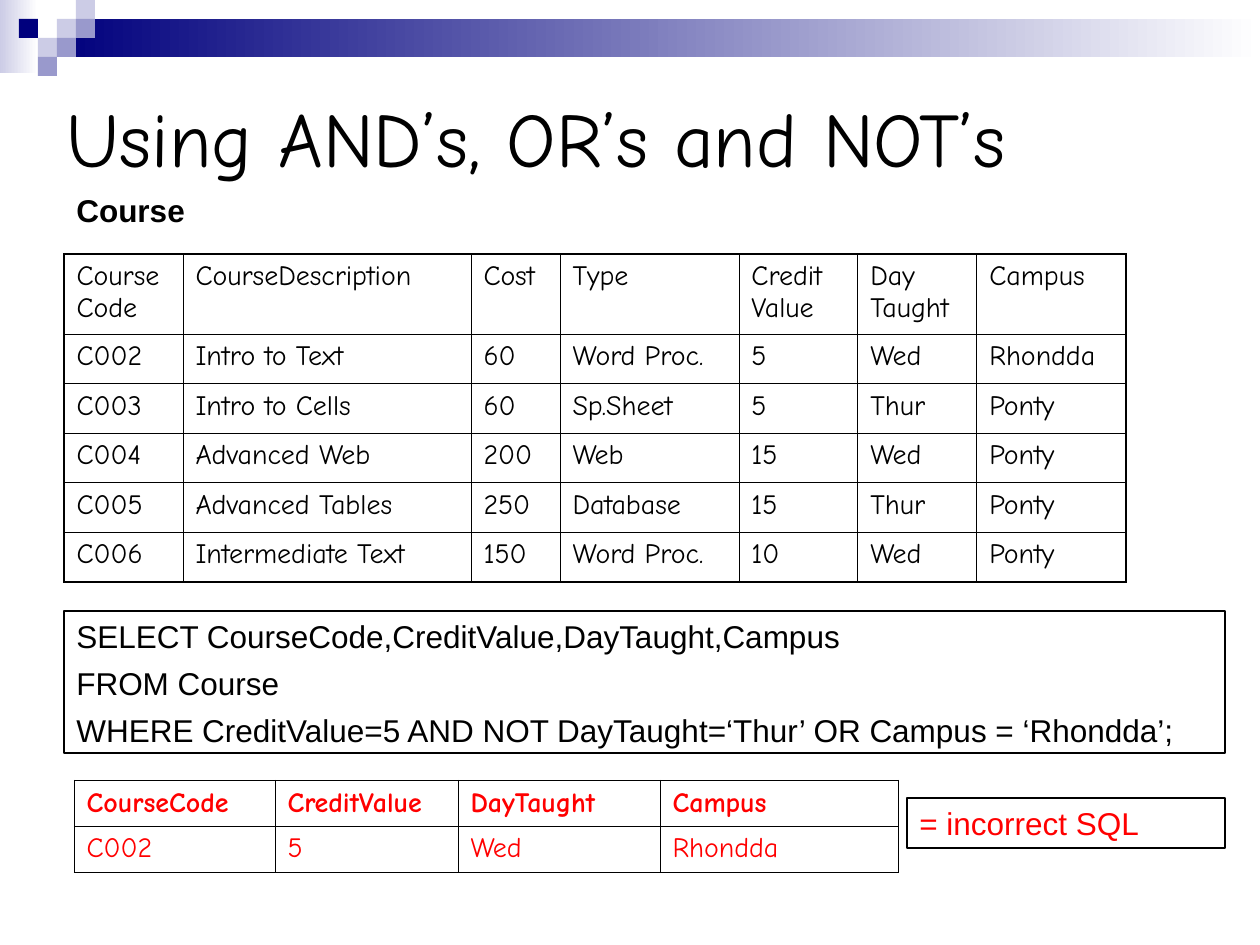
from pptx import Presentation
from pptx.dml.color import RGBColor
from pptx.enum.shapes import MSO_SHAPE
from pptx.enum.text import MSO_ANCHOR, MSO_AUTO_SIZE, PP_ALIGN
from pptx.oxml.ns import qn
from pptx.util import Emu, Pt
from lxml.etree import SubElement

PX = 914400 / 126
COLORS = {
    "navy": "00007D", "violet": "9999CC", "lavender": "CCCCE6",
    "white": "FFFFFF", "black": "000000", "red": "FF0000",
}
HAND, SANS = "Comic Neue", "Arial"
TILE = 19

COURSES = [
    ["Course Code", "CourseDescription", "Cost", "Type", "Credit Value", "Day Taught", "Campus"],
    ["C002", "Intro to Text", "60", "Word Proc.", "5", "Wed", "Rhondda"],
    ["C003", "Intro to Cells", "60", "Sp.Sheet", "5", "Thur", "Ponty"],
    ["C004", "Advanced Web", "200", "Web", "15", "Wed", "Ponty"],
    ["C005", "Advanced Tables", "250", "Database", "15", "Thur", "Ponty"],
    ["C006", "Intermediate Text", "150", "Word Proc.", "10", "Wed", "Ponty"],
]
RESULT = [
    ["CourseCode", "CreditValue", "DayTaught", "Campus"],
    ["C002", "5", "Wed", "Rhondda"],
]
QUERY = [
    "SELECT CourseCode,CreditValue,DayTaught,Campus",
    "FROM Course",
    "WHERE CreditValue=5 AND NOT DayTaught=‘Thur’ OR Campus = ‘Rhondda’;",
]


def px(length):
    return Emu(round(length * PX))


def rgb(name):
    return RGBColor.from_string(COLORS[name])


def style(para, font_name, size, color="black", bold=False):
    para.alignment = PP_ALIGN.LEFT
    font = para.font
    font.name, font.size, font.bold = font_name, Pt(size), bold
    font.color.rgb = rgb(color)


def add_rect(page, box, *colors):
    """Borderless rectangle: one colour is solid, two run left to right."""
    rect = page.shapes.add_shape(MSO_SHAPE.RECTANGLE, *map(px, box))
    rect.shadow.inherit = False
    rect.line.fill.background()
    if len(colors) == 1:
        rect.fill.solid()
        rect.fill.fore_color.rgb = rgb(colors[0])
    else:
        rect.fill.gradient()
        rect.fill.gradient_angle = 0
        for stop, color in zip(rect.fill.gradient_stops, colors):
            stop.color.rgb = rgb(color)


def add_banner(page, left, top, width):
    add_rect(page, (left, top, 2 * TILE, 73), "lavender", "white")
    bar_left = left + 3 * TILE
    add_rect(page, (bar_left, top + TILE, width - 3 * TILE, 2 * TILE), "navy", "white")
    tiles = [
        (3, 1, "lavender"), (4, 0, "lavender"), (4, 1, "violet"), (2, 2, "lavender"),
        (1, 1, "navy"), (3, 2, "violet"), (2, 3, "violet"),
    ]
    for column, row, color in tiles:
        add_rect(page, (left + column * TILE, top + row * TILE, TILE, TILE), color)


def add_title(page, box, text):
    title = page.shapes.title
    title.left, title.top, title.width, title.height = map(px, box)
    frame = title.text_frame
    frame.text = text
    frame.auto_size = MSO_AUTO_SIZE.NONE
    frame.vertical_anchor = MSO_ANCHOR.MIDDLE
    style(frame.paragraphs[0], HAND, 44)


def add_text(page, box, lines, color="black", bold=False, framed=True):
    text_box = page.shapes.add_textbox(*map(px, box))
    if framed:
        text_box.line.color.rgb = rgb("black")
        text_box.line.width = Pt(0.75)
    frame = text_box.text_frame
    frame.word_wrap = True
    frame.text = "\n".join(lines)
    for index, para in enumerate(frame.paragraphs):
        style(para, SANS, 18, color, bold)
        if index:
            para.space_before = Pt(5.2)


def set_borders(cell, widths):
    """Draw the cell's sides; widths maps L, R, T and B to points."""
    properties = cell._tc.get_or_add_tcPr()
    for side in "LRTB":
        line = SubElement(properties, qn(f"a:ln{side}"), w=str(Pt(widths[side])))
        fill = SubElement(line, qn("a:solidFill"))
        SubElement(fill, qn("a:srgbClr"), val=COLORS["black"])


def add_grid(page, left, top, columns, heights, rows, inner, outer,
             color="black", bold_header=False, header_anchor=MSO_ANCHOR.TOP):
    """Ruled table with inner and outer border widths in points."""
    box = (left, top, sum(columns), sum(heights))
    table = page.shapes.add_table(len(rows), len(columns), *map(px, box)).table
    table.first_row = table.horz_banding = False
    for column, width in zip(table.columns, columns):
        column.width = px(width)
    for row, height in zip(table.rows, heights):
        row.height = px(height)
    last_row, last_column = len(rows) - 1, len(columns) - 1
    for r, texts in enumerate(rows):
        for c, text in enumerate(texts):
            cell = table.cell(r, c)
            cell.text = text
            cell.vertical_anchor = MSO_ANCHOR.TOP if r else header_anchor
            style(cell.text_frame.paragraphs[0], HAND, 16, color, bold_header and r == 0)
            edges = {"L": c == 0, "R": c == last_column, "T": r == 0, "B": r == last_row}
            set_borders(cell, {side: outer if edge else inner for side, edge in edges.items()})
            cell.fill.solid()
            cell.fill.fore_color.rgb = rgb("white")


def main():
    deck = Presentation()
    deck.slide_width, deck.slide_height = px(1260), px(945)
    page = deck.slides.add_slide(deck.slide_layouts[5])

    add_banner(page, 0, 0, 1260)
    add_title(page, (54, 66, 1134, 141), "Using AND’s, OR’s and NOT’s")
    add_grid(page, 64, 254, [119, 288, 89, 179, 119, 119, 149], [80] + [248 / 5] * 5,
             COURSES, inner=0.45, outer=1.08)
    add_text(page, (64, 611, 1161, 142), QUERY)
    add_text(page, (64, 185, 367, 50), ["Course"], bold=True, framed=False)
    add_grid(page, 74, 780, [201, 183, 202, 238], [46, 46], RESULT, inner=0.34, outer=0.34,
             color="red", bold_header=True, header_anchor=MSO_ANCHOR.MIDDLE)
    add_text(page, (907, 798, 318, 50), ["= incorrect SQL"], color="red")

    deck.save("out.pptx")


if __name__ == "__main__":
    main()
